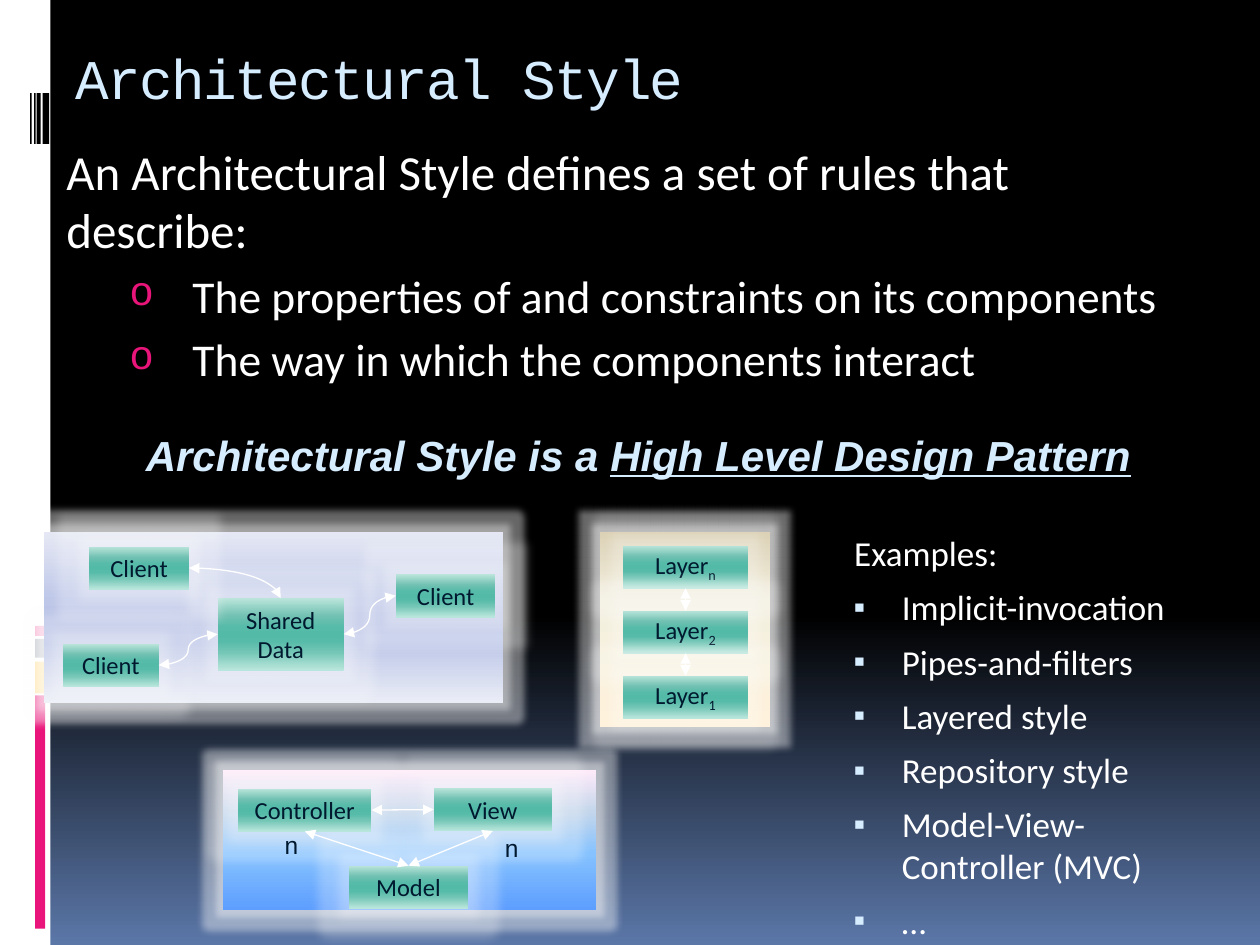
from lxml import etree
from pptx import Presentation
from pptx.dml.color import RGBColor
from pptx.enum.shapes import MSO_CONNECTOR, MSO_SHAPE
from pptx.enum.text import MSO_ANCHOR, MSO_AUTO_SIZE, PP_ALIGN
from pptx.oxml.ns import qn
from pptx.util import Cm, Pt

RECTANGLE = MSO_SHAPE.RECTANGLE
STRAIGHT, CURVE = MSO_CONNECTOR.STRAIGHT, MSO_CONNECTOR.CURVE
MIDDLE, CENTER = MSO_ANCHOR.MIDDLE, PP_ALIGN.CENTER
GROW = MSO_AUTO_SIZE.SHAPE_TO_FIT_TEXT
TOP, LEFT, BOTTOM, RIGHT = range(4)

COLORS = {"white": "FFFFFF", "black": "000000", "pink": "EA157A",
          "yellow": "FEB80A", "slate": "4E5B6F", "ice": "D6ECFF",
          "navy": "00192F"}
GRADIENTS = {
    "night": (90, {0: "000000", 65: "000000", 100: "5B77A8"}),
    "teal": (90, {0: "BBE5DB", 25: "71C1B2", 40: "57BBA9", 50: "53BAA8",
                  60: "57BBA9", 75: "74C6B6", 100: "B9E6DC"}),
    "sky": (270, {0: "5E9EFF", 40: "85C2FF", 70: "C4D6EB", 100: "FFEBFA"}),
    "lavender": (90, {0: "E5E8F4", 40: "BEC7E8", 50: "B8C2E6",
                      65: "BEC7E8", 100: "EAEDF6"}),
    "sand": (270, {0: "FFEFD1", 65: "F0EBD5", 100: "D1C39F"}),
}
TITLE = {"name": "Courier New", "size": Pt(32)}
INTRO = {"name": "Calibri", "size": Pt(28)}
RULE = {"name": "Calibri", "size": Pt(26)}
TAGLINE = {"name": "Arial", "size": Pt(24), "bold": True, "italic": True}
EXAMPLE = {"name": "Calibri", "size": Pt(20)}
COMPONENT = {"name": "Calibri", "size": Pt(14)}
MARK = {"name": "Arial", "size": Pt(14)}


def rgb(color):
    return RGBColor.from_string(COLORS[color])


def add_xml(parent, tag, **attributes):
    return etree.SubElement(parent, qn(tag), attributes)


def add_gradient(fill, owner, name):
    angle, stops = GRADIENTS[name]
    fill.gradient()
    fill.gradient_angle = 360 - angle
    stop_list = next(owner.iter(qn("a:gsLst")))
    for stop in list(stop_list):
        stop_list.remove(stop)
    for position, color in stops.items():
        stop = add_xml(stop_list, "a:gs", pos=str(position * 1000))
        add_xml(stop, "a:srgbClr", val=color)


def add_run(paragraph, text, font, color, **attributes):
    run = paragraph.add_run()
    run.text = text
    for key, value in font.items():
        setattr(run.font, key, value)
    run.font.color.rgb = rgb(color)
    for key, value in attributes.items():
        run._r.get_or_add_rPr().set(key, value)


def set_indent(paragraph, margin, first):
    properties = paragraph._p.get_or_add_pPr()
    properties.set("marL", str(Cm(margin)))
    properties.set("indent", str(Cm(first)))
    return properties


def set_space_percent(paragraph, percent):
    space = add_xml(paragraph._p.get_or_add_pPr(), "a:spcBef")
    add_xml(space, "a:spcPct", val=str(percent * 1000))


def add_bullet(properties, symbol, color, percent, font):
    add_xml(add_xml(properties, "a:buClr"), "a:srgbClr", val=COLORS[color])
    add_xml(properties, "a:buSzPct", val=str(percent * 1000))
    add_xml(properties, "a:buFont", typeface=font)
    add_xml(properties, "a:buChar", char=symbol)


def add_text_frame(shapes, box, wrap=True):
    frame = shapes.add_textbox(*map(Cm, box)).text_frame
    frame.word_wrap = wrap
    if not wrap:
        frame.auto_size = GROW
    return frame


def add_bar(shapes, box, color, opacity=100):
    bar = shapes.add_shape(RECTANGLE, *map(Cm, box))
    bar.shadow.inherit = False
    bar.fill.solid()
    bar.fill.fore_color.rgb = rgb(color)
    bar.line.fill.background()
    if opacity < 100:
        paint = next(bar._element.spPr.iter(qn("a:srgbClr")))
        add_xml(paint, "a:alpha", val=str(opacity * 1000))


def add_glowing_box(shapes, box, gradient, radius, opacity):
    area = shapes.add_shape(RECTANGLE, *map(Cm, box))
    area.shadow.inherit = False
    add_gradient(area.fill, area._element, gradient)
    area.line.fill.background()
    effects = area._element.spPr.find(qn("a:effectLst"))
    glow = add_xml(effects, "a:glow", rad=str(Cm(radius)))
    halo = add_xml(glow, "a:srgbClr", val=COLORS["white"])
    add_xml(halo, "a:alpha", val=str(opacity * 1000))
    return area


def add_panel(shapes, box, gradient):
    return add_glowing_box(shapes, box, gradient, 0.28, 40)


def add_component(shapes, box, label, subscript=""):
    component = add_glowing_box(shapes, box, "teal", 0.42, 25)
    frame = component.text_frame
    frame.word_wrap = True
    frame.auto_size = GROW
    frame.vertical_anchor = MIDDLE
    paragraph = frame.paragraphs[0]
    paragraph.alignment = CENTER
    set_space_percent(paragraph, 50)
    add_run(paragraph, label, COMPONENT, "navy")
    if subscript:
        add_run(paragraph, subscript, COMPONENT, "navy", baseline="-25000")
    return component


def add_link(shapes, start, start_side, end, end_side, kind=STRAIGHT, preset=None):
    link = shapes.add_connector(kind, 0, 0, 0, 0)
    link.begin_connect(start, start_side)
    link.end_connect(end, end_side)
    link.line.color.rgb = rgb("white")
    link.line.width = Pt(0.75)
    properties = link._element.spPr
    if preset:
        properties.find(qn("a:prstGeom")).set("prst", preset)
    outline = properties.find(qn("a:ln"))
    add_xml(outline, "a:headEnd", type="triangle")
    add_xml(outline, "a:tailEnd", type="triangle")
    add_xml(properties, "a:effectLst")


def add_side_decoration(shapes):
    add_bar(shapes, (0, 0, 1.02, 19.05), "white")
    for top, height, color, opacity in [(14.02, 4.7, "pink", 100), (13.34, 0.64, "yellow", 50),
                                        (12.88, 0.38, "slate", 50), (12.62, 0.2, "pink", 50)]:
        add_bar(shapes, (0.71, top, 0.2, height), color, opacity)
    for left, width in [(0.86, 0.13), (0.74, 0.08), (0.69, 0.03), (0.61, 0.03)]:
        add_bar(shapes, (left, 1.88, width, 1.02), "black")


def add_statements(shapes):
    title = add_text_frame(shapes, (1.27, 0.76, 22.86, 2.84)).paragraphs[0]
    add_run(title, "Architectural Style", TITLE, "ice", spc="-100")

    definition = add_text_frame(shapes, (1.09, 2.72, 23.29, 5.79))
    add_run(definition.paragraphs[0],
            "An Architectural Style defines a set of rules that describe:", INTRO, "white")
    for text in ("The properties of and constraints on its components",
                 "The way in which the components interact"):
        rule = definition.add_paragraph()
        properties = set_indent(rule, 2.54, -1.27)
        set_space_percent(rule, 20)
        add_bullet(properties, "o", "pink", 90, "Courier New")
        add_run(rule, text, RULE, "white")

    tagline = add_text_frame(shapes, (2.69, 8.53, 20.6, 1.27), wrap=False).paragraphs[0]
    add_run(tagline, "Architectural Style is a ", TAGLINE, "ice")
    add_run(tagline, "High Level Design Pattern", TAGLINE | {"underline": True}, "ice")


def add_mvc(shapes):
    add_panel(shapes, (4.5, 15.52, 7.52, 2.82), "sky")
    model = add_component(shapes, (7.04, 17.45, 2.39, 0.86), "Model")
    view = add_component(shapes, (8.74, 15.89, 2.39, 0.86), "View")
    controller = add_component(shapes, (4.8, 15.9, 2.69, 0.86), "Controller")
    add_link(shapes, controller, BOTTOM, model, TOP)
    add_link(shapes, model, TOP, view, BOTTOM)
    add_link(shapes, controller, RIGHT, view, LEFT)
    for left, top in [(9.93, 16.66), (5.49, 16.61)]:
        mark = add_text_frame(shapes, (left, top, 0.79, 0.86), wrap=False)
        add_run(mark.paragraphs[0], "n", MARK, "navy")


def add_repository(shapes):
    add_panel(shapes, (0.89, 10.72, 9.25, 3.45), "lavender")
    store = add_component(shapes, (4.39, 12.06, 2.54, 1.45), "Shared Data")
    upper, lower, right = [
        add_component(shapes, (left, top, width, 0.86), "Client")
        for left, top, width in [(1.8, 11.02, 2.01), (1.27, 12.98, 1.93), (7.98, 11.58, 2.01)]]
    add_link(shapes, upper, RIGHT, store, TOP, CURVE, "curvedConnector2")
    add_link(shapes, lower, RIGHT, store, LEFT, CURVE)
    add_link(shapes, store, RIGHT, right, LEFT, CURVE)


def add_layers(shapes):
    add_panel(shapes, (12.09, 10.72, 3.43, 3.94), "sand")
    layers = [add_component(shapes, (12.55, 11 + 1.31 * row, 2.54, 0.86), "Layer", level)
              for row, level in enumerate("n21")]
    for above, below in zip(layers, layers[1:]):
        add_link(shapes, above, BOTTOM, below, TOP)


def add_examples(shapes):
    frame = add_text_frame(shapes, (16.79, 10.59, 7.9, 10.13))
    heading = frame.paragraphs[0]
    set_indent(heading, 0.18, 0)
    add_run(heading, "Examples:", EXAMPLE, "white")
    for text in ("Implicit-invocation", "Pipes-and-filters", "Layered style",
                 "Repository style", "Model-View-Controller (MVC)", "…"):
        example = frame.add_paragraph()
        example.space_before = Pt(7)
        properties = set_indent(example, 1.14, -0.97)
        add_bullet(properties, "▪", "ice", 95, "Arial")
        add_run(example, text, EXAMPLE, "white")


def main():
    deck = Presentation()
    deck.slide_width, deck.slide_height = Cm(25.4), Cm(19.05)
    slide = deck.slides.add_slide(deck.slide_layouts[6])
    add_gradient(slide.background.fill, slide._element, "night")
    add_side_decoration(slide.shapes)
    add_statements(slide.shapes)
    for add_diagram in (add_mvc, add_repository, add_layers):
        add_diagram(slide.shapes.add_group_shape().shapes)
    add_examples(slide.shapes)
    deck.save("out.pptx")


if __name__ == "__main__":
    main()
